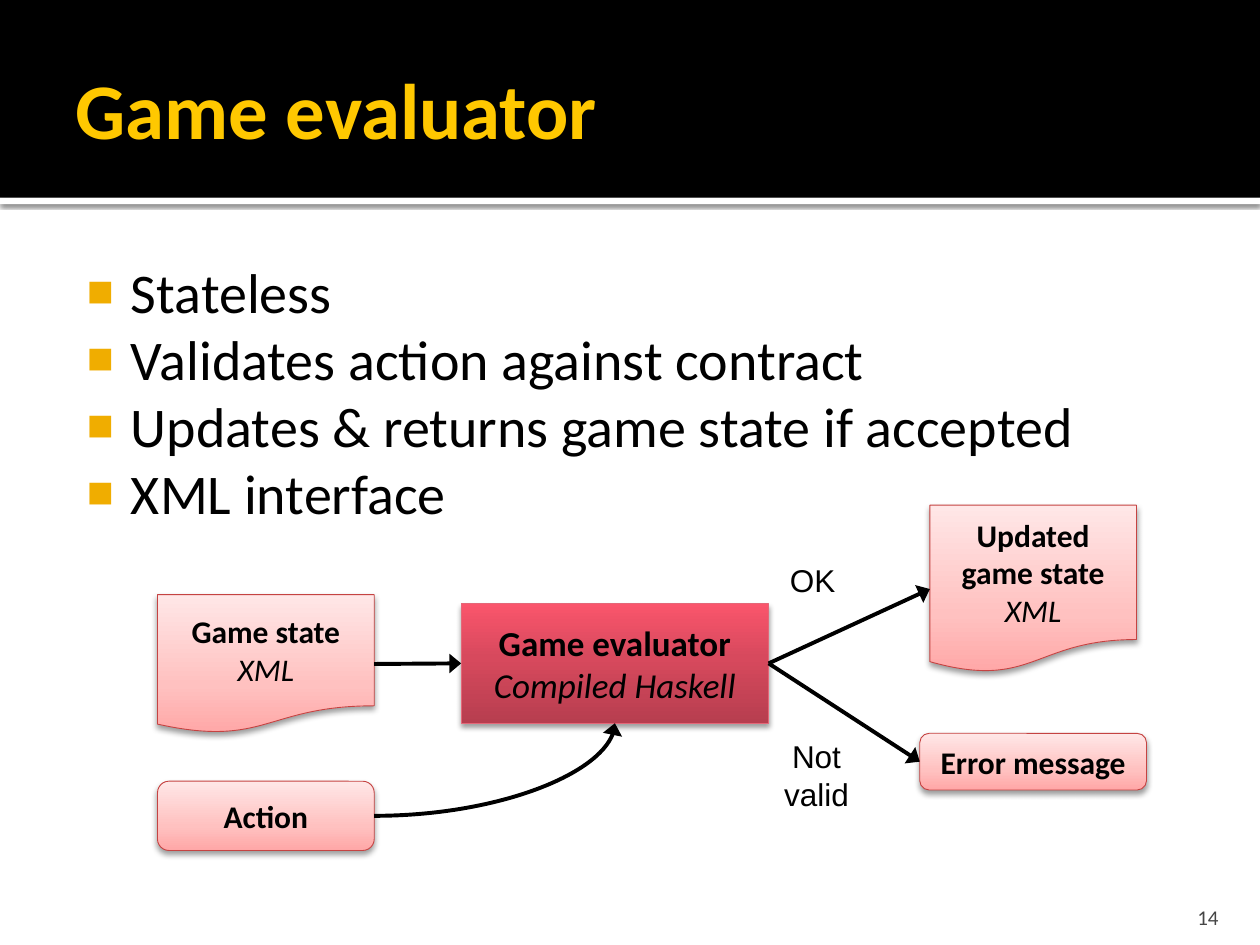
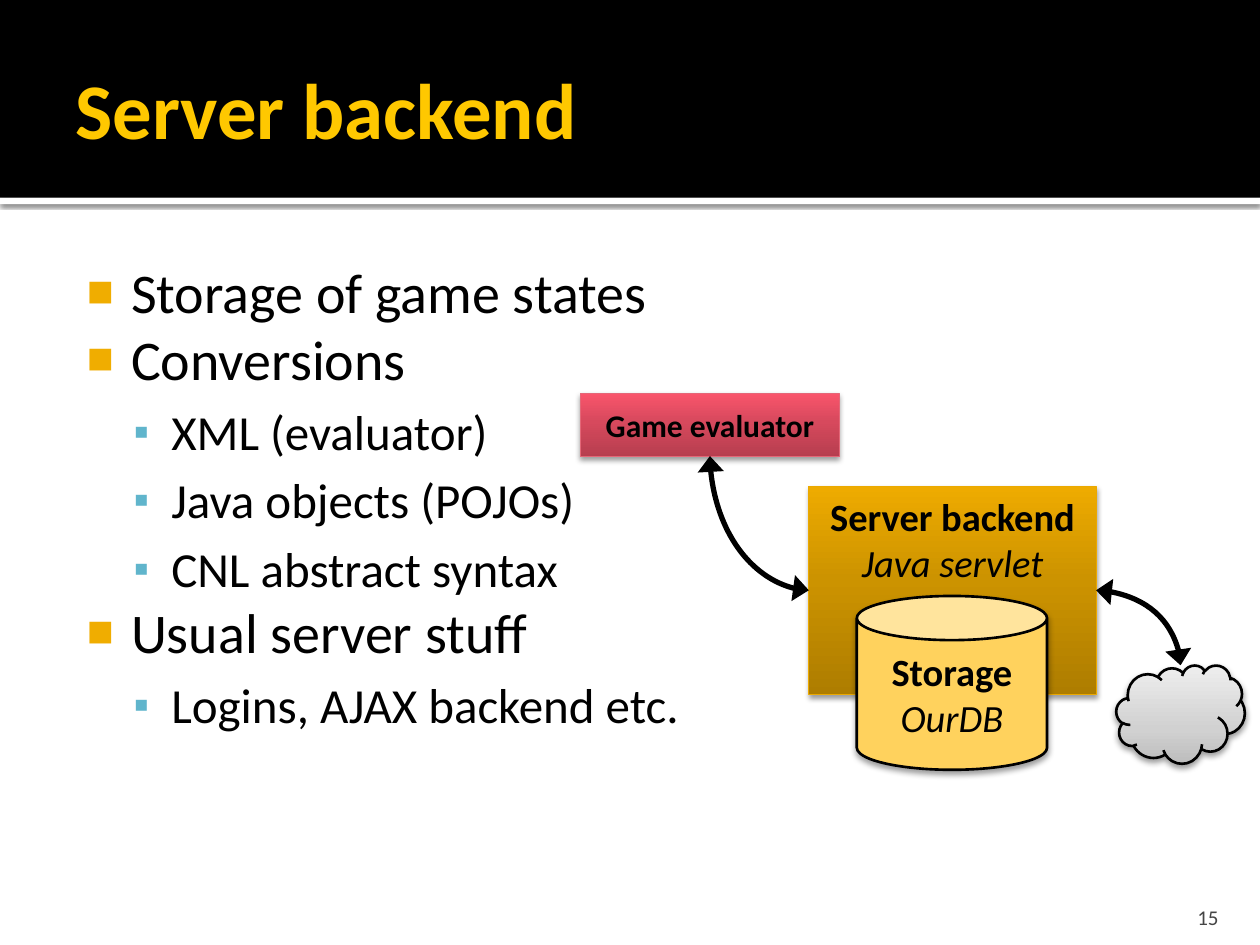
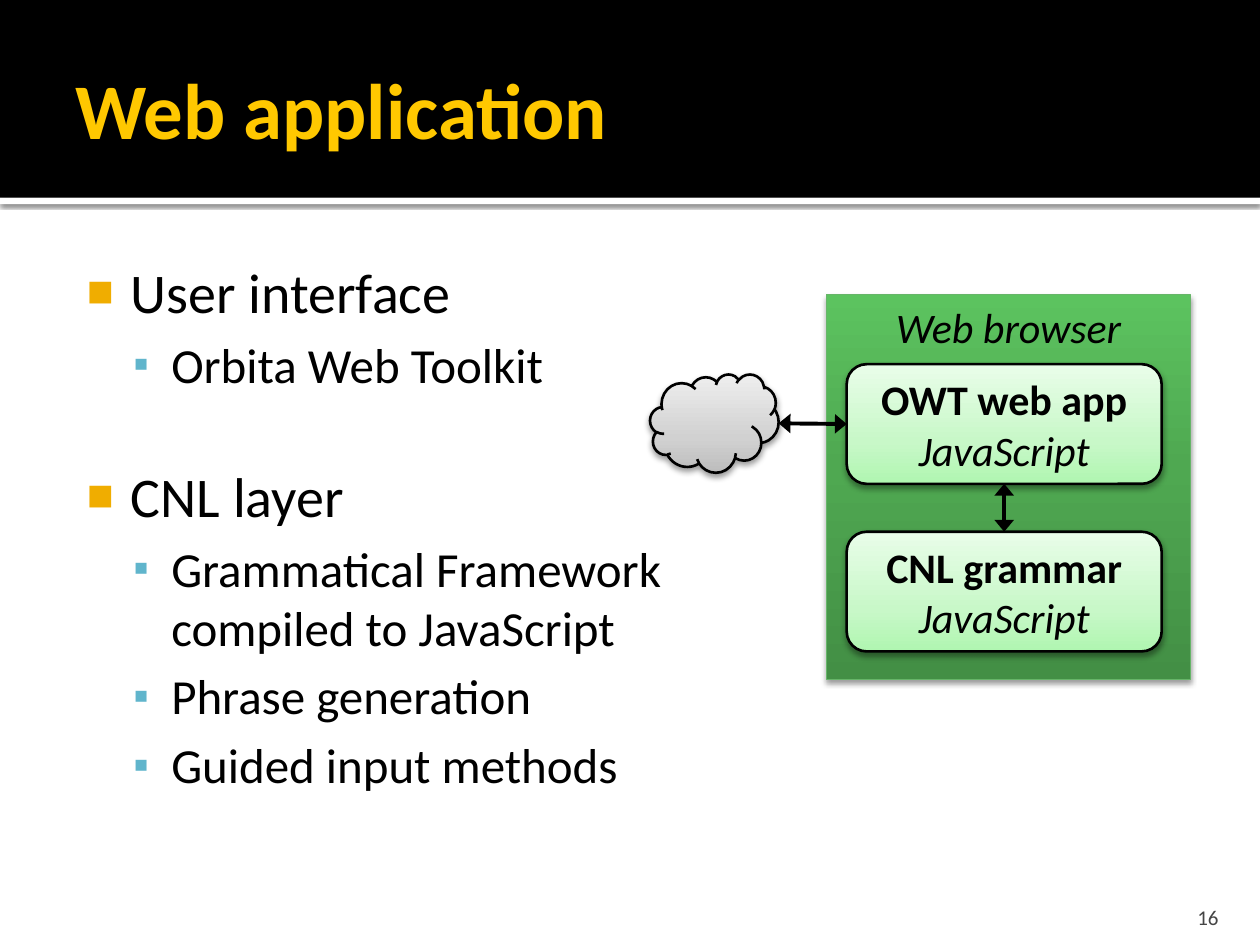
import pptx
import pptx.util
import pptx.dml.color
import pptx.enum.shapes
import pptx.enum.text
import pptx.oxml
import pptx.oxml.ns

Inches = pptx.util.Inches
Pt = pptx.util.Pt
PRESET = pptx.enum.shapes.MSO_SHAPE
CONNECTOR = pptx.enum.shapes.MSO_CONNECTOR
ALIGN = pptx.enum.text.PP_ALIGN
ANCHOR = pptx.enum.text.MSO_ANCHOR

BLACK, WHITE, TITLE, NUMBER = "000000", "FFFFFF", "FFC800", "454545"
FONT = "Calibri"
INSETS = (0.1, 0.05, 0.1, 0.05)

LEVELS = [
    dict(size=32, left=0.48, hang=-0.35, mark="■", color="F0AD00", percent=80, before=0),
    dict(size=28, left=0.8, hang=-0.3, mark="▪", color="60B5CC", percent=90, before=5.6),
]

STRONG, SOFT = (0, 55, 100), (0, 35, 100)
LOOKS = {
    "evaluator": dict(stops=STRONG, colors=("B73E4F", "D7495D", "FA556C"), line="E46778", width=0.5, blur=3.1),
    "message": dict(stops=SOFT, colors=("FFA7A7", "FFC1C0", "FFE7E7"), line="C54342", width=0.5, blur=3.5),
    "server": dict(stops=STRONG, colors=("AE7D00", "CC9300", "EEAB00"), line="EBA900", width=0.5, blur=3.1),
    "storage": dict(colors=("FFD25D",), line=BLACK, width=1.5, blur=3.5),
    "network": dict(stops=SOFT, colors=("BDBDBD", "D1D1D1", "EEEEEE"), line=BLACK, width=1.5, blur=3.5),
    "browser": dict(stops=STRONG, colors=("438F45", "4FA851", "5CC35F"), line="67B569", width=0.5, blur=3.1),
    "app": dict(stops=SOFT, colors=("B0F6B1", "C8F8C8", "E9FDE9"), line=BLACK, width=1.5, blur=3.5),
}

SLIDES = [
    dict(
        number=14, title="Game evaluator", body_width=9,
        points=[(0, "Stateless"), (0, "Validates action against contract"),
                (0, "Updates & returns game state if accepted"), (0, "XML interface")],
        boxes={
            "evaluator": dict(look="evaluator", preset=PRESET.RECTANGLE, at=(3.66, 4.79, 2.44, 0.95),
                              name="Game evaluator", detail="Compiled Haskell", size=20),
            "state": dict(look="message", preset=PRESET.FLOWCHART_DOCUMENT, at=(1.25, 4.72, 1.72, 1.1),
                          name="Game state", detail="XML", size=18),
            "updated": dict(look="message", preset=PRESET.FLOWCHART_DOCUMENT, at=(7.38, 4.01, 1.64, 1.33),
                            name="Updated game state", detail="XML", size=18),
            "error": dict(look="message", preset=PRESET.ROUNDED_RECTANGLE, at=(7.3, 5.82, 1.8, 0.45),
                          name="Error message", size=18),
            "action": dict(look="message", preset=PRESET.ROUNDED_RECTANGLE, at=(1.25, 6.2, 1.72, 0.55),
                           name="Action", size=18),
        },
        labels=[("OK", (6.17, 4.4, 0.62, 0.4), ALIGN.LEFT),
                ("Not valid", (6.09, 5.8, 0.78, 0.71), ALIGN.CENTER)],
        arrows=[("state", "right", "evaluator", "left"), ("evaluator", "right", "error", "left"),
                ("evaluator", "right", "updated", "left"), ("action", "right", "evaluator", "bottom")],
        both_ends=False, arrow_width=2.25,
    ),
    dict(
        number=15, title="Server backend", body_width=5.29,
        points=[(0, "Storage of game states"), (0, "Conversions"), (1, "XML (evaluator)"),
                (1, "Java objects (POJOs)"), (1, "CNL abstract syntax"),
                (0, "Usual server stuff"), (1, "Logins, AJAX backend etc.")],
        boxes={
            "network": dict(look="network", preset=PRESET.CLOUD, at=(8.86, 5.28, 1.02, 0.78)),
            "server": dict(look="server", preset=PRESET.RECTANGLE, at=(6.42, 3.86, 2.28, 1.65),
                           name="Server backend", detail="Java servlet", size=22, anchor=ANCHOR.TOP),
            "storage": dict(look="storage", preset=PRESET.CAN, at=(6.8, 4.73, 1.51, 1.38), adjust=0.254,
                            name="Storage", detail="OurDB", size=22, insets=(0.02, 0.05, 0.02, 0.05)),
            "evaluator": dict(look="evaluator", preset=PRESET.RECTANGLE, at=(4.61, 3.12, 2.05, 0.5),
                              name="Game evaluator", size=18),
        },
        labels=[],
        arrows=[("server", "right", "network", "top"), ("server", "left", "evaluator", "bottom")],
        both_ends=True, arrow_width=3,
    ),
    dict(
        number=16, title="Web application", body_width=4.97,
        points=[(0, "User interface"), (1, "Orbita Web Toolkit"), (0, "CNL layer", 39),
                (1, "Grammatical Framework compiled to JavaScript"),
                (1, "Phrase generation"), (1, "Guided input methods")],
        boxes={
            "network": dict(look="network", preset=PRESET.CLOUD, at=(5.16, 2.97, 1.02, 0.78)),
            "browser": dict(look="browser", preset=PRESET.RECTANGLE, at=(6.56, 2.34, 2.89, 3.05),
                            detail="Web browser", size=24, anchor=ANCHOR.TOP),
            "app": dict(look="app", preset=PRESET.FLOWCHART_ALTERNATE_PROCESS, at=(6.72, 2.89, 2.5, 0.95),
                        name="OWT web app", detail="JavaScript", size=24),
            "grammar": dict(look="app", preset=PRESET.FLOWCHART_ALTERNATE_PROCESS, at=(6.72, 4.22, 2.5, 0.95),
                            name="CNL grammar", detail="JavaScript", size=24),
        },
        labels=[],
        arrows=[("app", "bottom", "grammar", "top"), ("network", "right", "app", "left")],
        both_ends=True, arrow_width=2.25,
    ),
]


def rgb(value):
    return pptx.dml.color.RGBColor.from_string(value)


def element(markup):
    name, rest = markup.split(" ", 1)
    return pptx.oxml.parse_xml(f"<a:{name} {pptx.oxml.ns.nsdecls('a')} {rest}")


def set_all(target, values):
    for name, value in values.items():
        setattr(target, name, value)


def inches(values):
    return [Inches(value) for value in values]


def set_frame(frame, insets=INSETS, anchor=ANCHOR.TOP):
    margins = zip(("margin_left", "margin_top", "margin_right", "margin_bottom"), inches(insets))
    set_all(frame, dict(margins, word_wrap=True, vertical_anchor=anchor))


def add_run(paragraph, text, size, color=BLACK, font=FONT, bold=False, italic=False):
    run = paragraph.add_run()
    run.text = text
    set_all(run.font, dict(name=font, size=Pt(size), bold=bold, italic=italic))
    run.font.color.rgb = rgb(color)


def add_text(slide, at, text, size, align=ALIGN.LEFT, insets=INSETS, anchor=ANCHOR.TOP, **style):
    frame = slide.shapes.add_textbox(*inches(at)).text_frame
    set_frame(frame, insets, anchor)
    frame.paragraphs[0].alignment = align
    add_run(frame.paragraphs[0], text, size, **style)


def add_shadow(shape, alpha, blur, distance):
    shape.shadow.inherit = False
    effects = shape._element.spPr.find(pptx.oxml.ns.qn("a:effectLst"))
    effects.append(element(
        f'outerShdw blurRad="{Pt(blur)}" dist="{Pt(distance)}" dir="5400000" rotWithShape="0">'
        f'<a:srgbClr val="{BLACK}"><a:alpha val="{alpha * 1000}"/></a:srgbClr></a:outerShdw>'))


def add_band(slide, top, height, color):
    band = slide.shapes.add_shape(PRESET.RECTANGLE, *inches((0, top, 10, height)))
    band.shadow.inherit = False
    band.fill.solid()
    band.fill.fore_color.rgb = rgb(color)
    band.line.fill.background()
    return band


def add_frame(slide, title, number):
    add_shadow(add_band(slide, 1.57, 0.05, WHITE), 60, 2.5, 0.8)
    add_band(slide, 0, 1.57, BLACK)
    add_text(slide, (0.5, 0.17, 9, 1.37), title, 45, insets=(0.1, 0.05, 0.05, 0.05),
             anchor=ANCHOR.MIDDLE, color=TITLE, bold=True)
    add_text(slide, (8.97, 7.08, 0.8, 0.3), str(number), 12, align=ALIGN.RIGHT,
             insets=(0.1, 0.05, 0.1, 0), anchor=ANCHOR.BOTTOM, color=NUMBER)


def add_points(slide, points, width):
    frame = slide.shapes.add_textbox(*inches((0.5, 1.94, width, 5.06))).text_frame
    set_frame(frame, (0.06, 0.1, 0.1, 0.05))
    for index, (depth, text, *gap) in enumerate(points):
        level = LEVELS[depth]
        paragraph = frame.add_paragraph() if index else frame.paragraphs[0]
        properties = paragraph._p.get_or_add_pPr()
        properties.set("marL", str(Inches(level["left"])))
        properties.set("indent", str(Inches(level["hang"])))
        for markup in (f'buClr ><a:srgbClr val="{level["color"]}"/></a:buClr>',
                       f'buSzPct val="{level["percent"] * 1000}"/>',
                       'buFont typeface="Arial"/>',
                       f'buChar char="{level["mark"]}"/>'):
            properties.append(element(markup))
        set_all(paragraph, dict(level=depth, space_before=Pt(gap[0] if gap else level["before"])))
        add_run(paragraph, text, level["size"])


def paint(shape, look):
    colors = look["colors"]
    if len(colors) == 1:
        shape.fill.solid()
        shape.fill.fore_color.rgb = rgb(colors[0])
    else:
        shape.fill.gradient()
        shape.fill.gradient_angle = 90
        stops = shape._element.spPr.find(".//" + pptx.oxml.ns.qn("a:gsLst"))
        for stop in list(stops):
            stops.remove(stop)
        for position, color in zip(look["stops"], colors):
            stops.append(element(f'gs pos="{position * 1000}"><a:srgbClr val="{color}"/></a:gs>'))
    shape.line.color.rgb = rgb(look["line"])
    shape.line.width = Pt(look["width"])
    add_shadow(shape, 38, look["blur"], 2)


def add_box(slide, box):
    shape = slide.shapes.add_shape(box["preset"], *inches(box["at"]))
    if "adjust" in box:
        shape.adjustments[0] = box["adjust"]
    paint(shape, LOOKS[box["look"]])
    set_frame(shape.text_frame, box.get("insets", INSETS), box.get("anchor", ANCHOR.MIDDLE))
    paragraph = shape.text_frame.paragraphs[0]
    paragraph.alignment = ALIGN.CENTER
    if "name" in box:
        add_run(paragraph, box["name"], box["size"], bold=True)
    if "name" in box and "detail" in box:
        paragraph.add_line_break()
    if "detail" in box:
        add_run(paragraph, box["detail"], box["size"], italic=True)


def side_point(box, side):
    left, top, width, height = box["at"]
    across, down = {"left": (0, 0.5), "right": (1, 0.5), "top": (0.5, 0), "bottom": (0.5, 1)}[side]
    return left + across * width, top + down * height


def add_arrow(slide, boxes, arrow, width, both_ends):
    source, source_side, target, target_side = arrow
    curved = source_side in ("left", "right") and target_side in ("top", "bottom")
    ends = side_point(boxes[source], source_side) + side_point(boxes[target], target_side)
    connector = slide.shapes.add_connector(CONNECTOR.CURVE if curved else CONNECTOR.STRAIGHT, *inches(ends))
    connector.line.color.rgb = rgb(BLACK)
    connector.line.width = Pt(width)
    properties = connector._element.spPr
    if curved:
        properties.find(pptx.oxml.ns.qn("a:prstGeom")).set("prst", "curvedConnector2")
    line = properties.find(pptx.oxml.ns.qn("a:ln"))
    for end in ("headEnd", "tailEnd") if both_ends else ("tailEnd",):
        line.append(element(f'{end} type="triangle" w="lg" len="med"/>'))
    properties.append(element("effectLst />"))


def main():
    deck = pptx.Presentation()
    set_all(deck, dict(slide_width=Inches(10), slide_height=Inches(7.5)))
    for content in SLIDES:
        slide = deck.slides.add_slide(deck.slide_layouts[6])
        add_frame(slide, content["title"], content["number"])
        add_points(slide, content["points"], content["body_width"])
        for box in content["boxes"].values():
            add_box(slide, box)
        for text, at, align in content["labels"]:
            add_text(slide, at, text, 18, align=align, font="Arial")
        for arrow in content["arrows"]:
            add_arrow(slide, content["boxes"], arrow, content["arrow_width"], content["both_ends"])
    deck.save("out.pptx")


if __name__ == "__main__":
    main()
